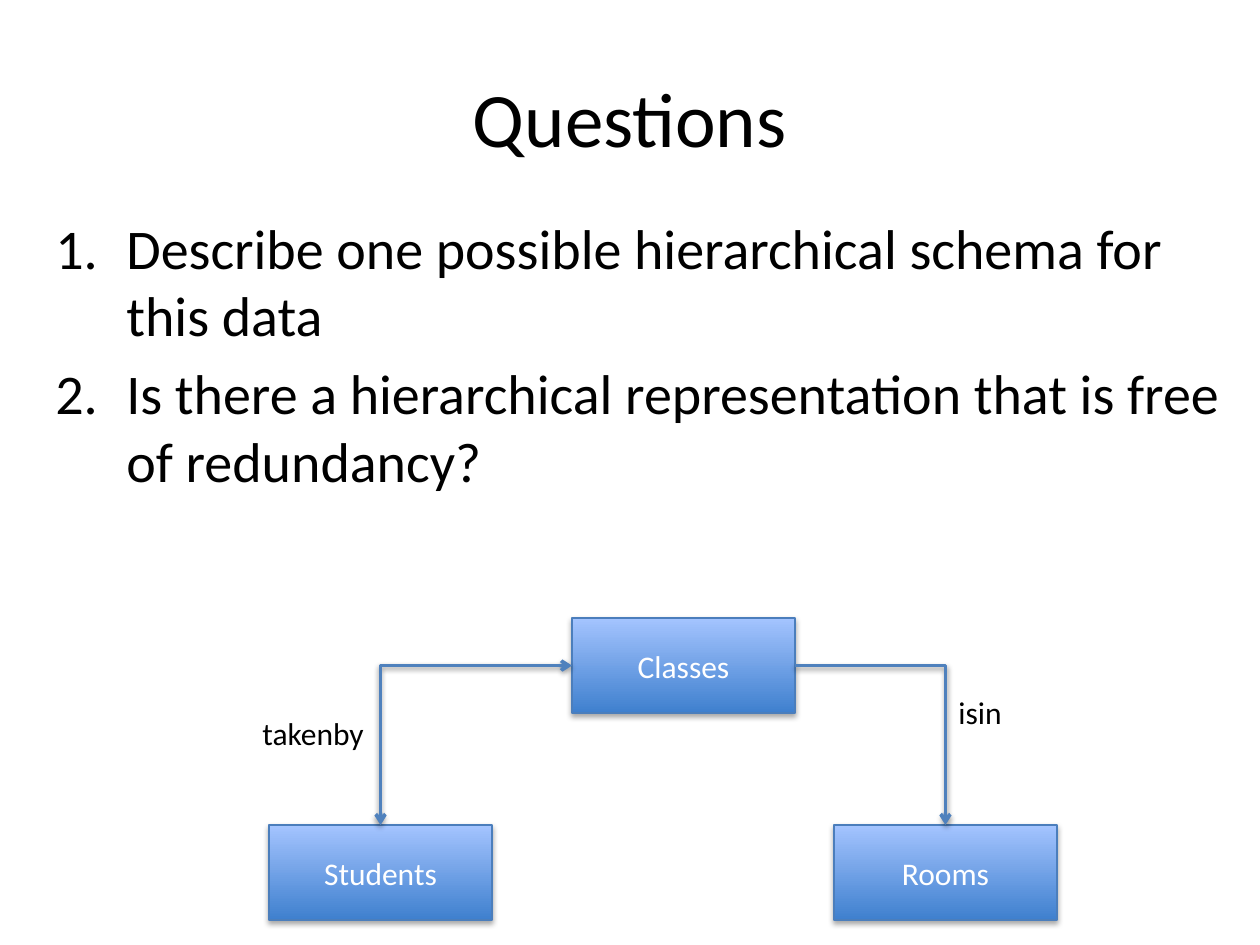
from lxml import etree
from pptx import Presentation, util as u
from pptx.dml.color import RGBColor
from pptx.enum import shapes, text
from pptx.oxml import ns

PX = u.Inches(1) / 126
BLACK = RGBColor(0x00, 0x00, 0x00)
WHITE = RGBColor(0xFF, 0xFF, 0xFF)
BOX_LOW = RGBColor(0x3F, 0x80, 0xCE)
BOX_HIGH = RGBColor(0xA4, 0xC4, 0xFF)
BOX_EDGE = RGBColor(0x4B, 0x7E, 0xBC)
ARROW = RGBColor(0x4F, 0x81, 0xBD)

NODE_W, NODE_H = 223, 95
TOP, LEFT, RIGHT = 0, 1, 3  # connection sites of a rectangle


def emu(*lengths):
    return [u.Emu(round(n * PX)) for n in lengths]


def add_child(parent, tag, **attrs):
    return etree.SubElement(parent, ns.qn(tag), attrs)


def write(tf, lines, size, color=BLACK, align=text.PP_ALIGN.LEFT,
          anchor=text.MSO_ANCHOR.TOP):
    """Fill a text frame with one paragraph per line."""
    tf.word_wrap = True
    tf.vertical_anchor = anchor
    for i, line in enumerate(lines):
        p = tf.paragraphs[0] if i == 0 else tf.add_paragraph()
        p.alignment = align
        r = p.add_run()
        r.text = line
        r.font.color.rgb = color
        for name, value in {"name": "Calibri", "size": u.Pt(size)}.items():
            setattr(r.font, name, value)


def add_text(s, box, lines, size, **style):
    tf = s.shapes.add_textbox(*emu(*box)).text_frame
    write(tf, lines, size, **style)
    return tf


def add_shadow(sp, distance, opacity):
    """Cast a soft black shadow straight down; distance is in points."""
    effects = add_child(sp._element.spPr, "a:effectLst")
    shadow = add_child(effects, "a:outerShdw", blurRad="40000",
                       dist=str(u.Pt(distance)), dir="5400000", rotWithShape="0")
    color = add_child(shadow, "a:srgbClr", val=str(BLACK))
    add_child(color, "a:alpha", val=str(opacity * 1000))


def add_title(s, box, title):
    add_text(s, box, [title], 44, align=text.PP_ALIGN.CENTER,
             anchor=text.MSO_ANCHOR.MIDDLE)


def add_numbered_list(s, box, items):
    size = 32
    tf = add_text(s, box, items, size)
    indent, = emu(71)
    for p in tf.paragraphs:
        p.space_before = u.Pt(size * 0.2)
        pPr = p._p.get_or_add_pPr()
        pPr.set("marL", str(indent))
        pPr.set("indent", str(-indent))
        add_child(pPr, "a:buFont", typeface="+mj-lt")
        add_child(pPr, "a:buAutoNum", type="arabicPeriod")


def add_node(s, x, y, label):
    sp = s.shapes.add_shape(shapes.MSO_SHAPE.RECTANGLE,
                            *emu(x, y, NODE_W, NODE_H))
    sp.fill.gradient()
    sp.fill.gradient_angle = 90
    for stop, color in zip(sp.fill.gradient_stops, (BOX_LOW, BOX_HIGH)):
        stop.color.rgb = color
    sp.line.color.rgb = BOX_EDGE
    sp.line.width = u.Pt(0.75)
    add_shadow(sp, 1.8, 35)
    write(sp.text_frame, [label], 18, color=WHITE,
          align=text.PP_ALIGN.CENTER, anchor=text.MSO_ANCHOR.MIDDLE)
    return sp


def add_link(s, parent, side, child, ends):
    """Run sideways from the parent, then down to the top of the child."""
    cxn = s.shapes.add_connector(shapes.MSO_CONNECTOR.ELBOW, 0, 0, 0, 0)
    cxn.begin_connect(parent, side)
    cxn.end_connect(child, TOP)
    spPr = cxn._element.spPr
    spPr.find(ns.qn("a:prstGeom")).set("prst", "bentConnector2")
    if side == LEFT:
        xfrm = spPr.find(ns.qn("a:xfrm"))
        xfrm.attrib.pop("flipH", None)
        xfrm.set("rot", "10800000")
        xfrm.set("flipV", "1")
    cxn.line.color.rgb = ARROW
    cxn.line.width = u.Pt(2)
    ln = spPr.find(ns.qn("a:ln"))
    for end in ends:
        add_child(ln, end, type="arrow")
    add_shadow(cxn, 1.6, 38)


def add_schema(s, box):
    """Draw the root class over its two children, with labelled links."""
    x, y, w, h = box
    low = y + h - NODE_H
    classes = add_node(s, x + 303, y, "Classes")
    students = add_node(s, x, low, "Students")
    rooms = add_node(s, x + w - NODE_W, low, "Rooms")
    add_link(s, classes, LEFT, students, ["a:headEnd", "a:tailEnd"])
    add_link(s, classes, RIGHT, rooms, ["a:tailEnd"])
    for dx, dy, label in ((677, 69, "isin"), (-19, 90, "takenby")):
        add_text(s, (x + dx, y + dy, 131, 50), [label], 18)


def main():
    prs = Presentation()
    prs.slide_width, prs.slide_height = emu(1260, 945)
    s = prs.slides.add_slide(prs.slide_layouts[6])
    add_title(s, (63, 38, 1134, 158), "Questions")
    add_numbered_list(s, (43, 207, 1197, 624), [
        "Describe one possible hierarchical schema for this data",
        "Is there a hierarchical representation that is free of redundancy?",
    ])
    add_schema(s, (269, 618, 788, 302))
    prs.save("out.pptx")


if __name__ == "__main__":
    main()
